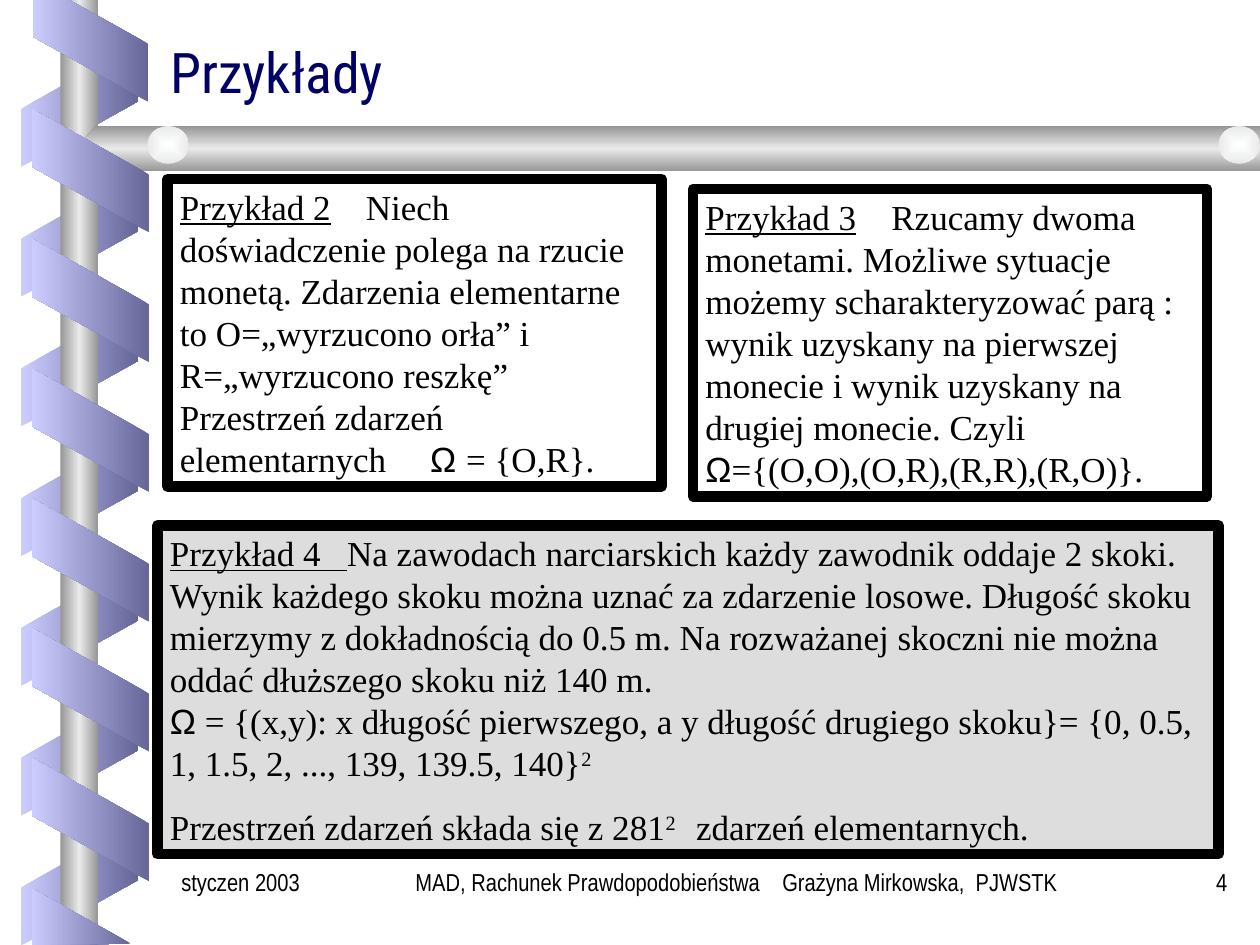
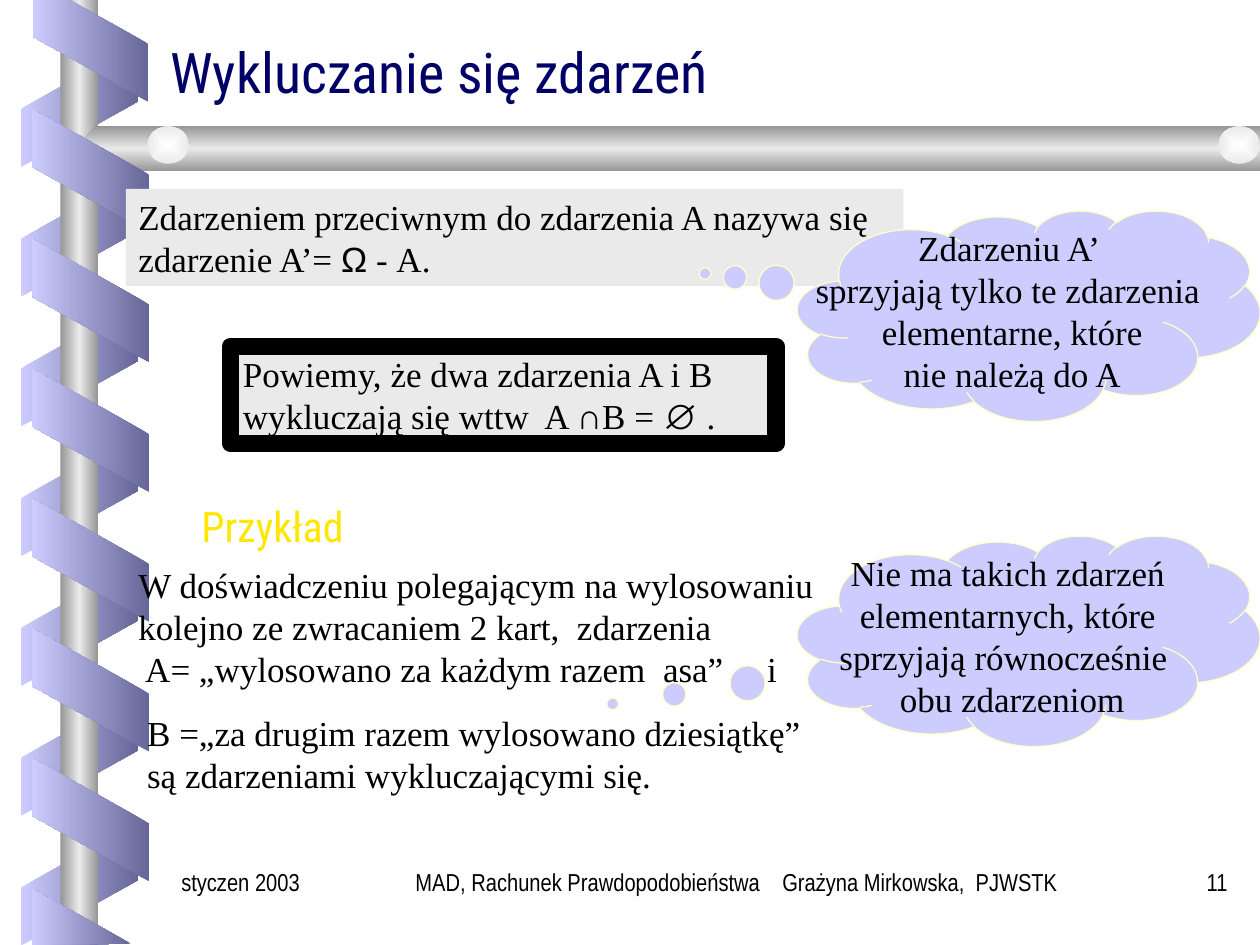
"""Build two probability slides with a ribbon-and-bar backdrop."""
from lxml import etree
from pptx import Presentation
from pptx import util as u
from pptx.dml import color
from pptx.enum import shapes, text
from pptx.oxml import ns

PX = 9144
WIDE, HIGH = 1000, 750
PITCH = 103
HUES = {
    "ink": "000000", "title": "000066", "lilac": "CCCCFF", "plum": "666699",
    "steel": "969696", "shine": "EAEAEA", "pearl": "FEFFFF", "grey": "DDDDDD",
    "cream": "FFFFCC", "gold": "FFE701", "flame": "FE3E02",
}
SERIF, SANS = "Times New Roman", "Arial"
HEAD, SMALL = "Roboto Condensed", "Arial Narrow"
LEFT, MID, RIGHT = text.PP_ALIGN.LEFT, text.PP_ALIGN.CENTER, text.PP_ALIGN.RIGHT
KIND = shapes.MSO_SHAPE


def rgb(hue):
    """Return the named colour."""
    return color.RGBColor.from_string(HUES[hue])


def emu(*sizes):
    """Turn px lengths into EMU."""
    return [size * PX for size in sizes]


def node(host, tag, **attrs):
    """Add a drawing element under host."""
    return etree.SubElement(host, ns.qn("a:" + tag), attrs)


def blend(fill, host, hues, angle=None):
    """Fill with evenly spaced colours, linear or from the centre if no angle."""
    fill.gradient()
    grad = host.find(ns.qn("a:gradFill"))
    for child in list(grad):
        grad.remove(child)
    grad.set("rotWithShape", "0")
    stops = node(grad, "gsLst")
    for i, hue in enumerate(hues):
        stop = node(stops, "gs", pos=str(100000 * i // (len(hues) - 1)))
        node(stop, "srgbClr", val=HUES[hue])
    if angle is None:
        way = node(grad, "path", path="rect")
        node(way, "fillToRect", l="50000", t="50000", r="50000", b="50000")
    else:
        node(grad, "lin", ang=str(angle * 60000), scaled="0")


def shade(shape, hues, angle=None):
    """Give a shape a gradient, no line and no shadow."""
    shape.shadow.inherit = False
    shape.line.fill.background()
    blend(shape.fill, shape.element.spPr, hues, angle)
    return shape


def form(slide, kind, area, hues, angle=None):
    """Add a shaded preset shape."""
    return shade(slide.shapes.add_shape(kind, *emu(*area)), hues, angle)


def trace(slide, points, hues, angle):
    """Add a shaded outline through the points."""
    pen = slide.shapes.build_freeform(*points[0], scale=PX)
    pen.add_line_segments(points[1:], close=True)
    return shade(pen.convert_to_shape(), hues, angle)


def band(slide, left, top, turn, hues):
    """Add one ribbon fold."""
    fold = form(slide, KIND.PARALLELOGRAM, (left, top, 98, 93), hues, 180)
    fold.adjustments[0] = 0.56
    fold.rotation = turn
    return fold


def scene(slide, layout):
    """Draw the ribbon, column and bar, and move them to the layout."""
    metal = ("steel", "shine", "steel")
    front, back = ("plum", "lilac"), ("lilac", "plum")
    for i in range(7):
        fold = band(slide, 14, 37 + PITCH * i, 90, back)
        fold.element.spPr.xfrm.set("flipH", "1")
    form(slide, KIND.RECTANGLE, (48, 0, 30, HIGH), metal, 180)
    trace(slide, [(WIDE, 100), (76, 100), (60, 118), (76, 136), (WIDE, 136)],
          metal, 90)
    for left in (117, 967):
        form(slide, KIND.OVAL, (left, 100, 33, 30), ("pearl", "shine"))
    for i in range(6):
        band(slide, 23, 89 + PITCH * i, 270, front)
    trace(slide, [(26, 0), (26, 29), (118, 81), (118, 35), (55, 0)], front, 180)
    trace(slide, [(104, 749), (25, 705), (25, HIGH)], front, 180)
    drawn = [s for s in slide.shapes if not s.is_placeholder]
    for i, shape in enumerate(drawn):
        shape.element.nvSpPr.cNvPr.set("id", str(100 + i))
        layout.shapes.element.insert(2 + i, shape.element)


def style(run, size, face, hue="ink"):
    """Set the size, font and colour of a run."""
    run.font.size = u.Pt(size)
    run.font.name = face
    run.font.color.rgb = rgb(hue)


def write(para, bits):
    """Fill a paragraph from (words, look) pairs."""
    for words, look in bits:
        for i, part in enumerate(words.split("\n")):
            if i:
                para.add_line_break()
            if not part:
                continue
            run = para.add_run()
            run.text = part
            style(run, 20, SANS if look == "sign" else SERIF)
            if look == "under":
                run.font.underline = True
            if look == "super":
                run.font.element.set("baseline", "30000") if hasattr(
                    run.font, "element") else run._r.rPr.set("baseline", "30000")


def body(shape, paras, align=LEFT):
    """Write paragraphs with space between them."""
    frame = shape.text_frame
    frame.word_wrap = True
    frame.vertical_anchor = text.MSO_ANCHOR.TOP
    frame.auto_size = text.MSO_AUTO_SIZE.SHAPE_TO_FIT_TEXT
    for i, bits in enumerate(paras):
        para = frame.add_paragraph() if i else frame.paragraphs[0]
        para.alignment = align
        if i:
            para.space_before = u.Pt(12.5)
        write(para, bits)


def paint(shape, fill, line, width):
    """Set plain fill and line, either of which may be None."""
    shape.shadow.inherit = False
    if fill:
        shape.fill.solid()
        shape.fill.fore_color.rgb = rgb(fill)
    else:
        shape.fill.background()
    if line:
        shape.line.color.rgb = rgb(line)
        shape.line.width = u.Pt(width)
    else:
        shape.line.fill.background()


def panel(slide, area, paras, fill=None, width=0):
    """Add a text panel, framed if a width is given."""
    shape = slide.shapes.add_shape(KIND.RECTANGLE, *emu(*area))
    paint(shape, fill, "ink" if width else None, width)
    body(shape, paras)


def cloud(slide, top, tail, words):
    """Add a thought cloud at the right edge."""
    shape = slide.shapes.add_shape(KIND.CLOUD_CALLOUT, *emu(633, top, 367, 167))
    shape.adjustments[0], shape.adjustments[1] = tail
    paint(shape, "lilac", "cream", 0.75)
    body(shape, [[(words, "")]], MID)
    frame = shape.text_frame
    frame.word_wrap = False
    frame.auto_size = text.MSO_AUTO_SIZE.NONE
    frame.vertical_anchor = text.MSO_ANCHOR.MIDDLE


def label(slide, area, words, size, face, align=LEFT):
    """Add one line of text and return its run."""
    frame = slide.shapes.add_textbox(*emu(*area)).text_frame
    frame.word_wrap = True
    frame.text = words
    para = frame.paragraphs[0]
    para.alignment = align
    style(para.runs[0], size, face)
    return para.runs[0]


def flare(run):
    """Give a heading run a fiery gradient and a thin outline."""
    props = run._r.get_or_add_rPr()
    blend(run.font.fill, props, ("gold", "flame"), 90)
    edge = node(props, "ln", w=str(u.Pt(0.75)))
    node(node(edge, "solidFill"), "srgbClr", val=HUES["ink"])
    props.insert(0, edge)


def head(slide, words):
    """Place and format the title."""
    title = slide.shapes.title
    title.left, title.top, title.width, title.height = emu(125, 25, 850, 63)
    frame = title.text_frame
    frame.text = words
    frame.auto_size = text.MSO_AUTO_SIZE.NONE
    frame.vertical_anchor = text.MSO_ANCHOR.BOTTOM
    para = frame.paragraphs[0]
    para.alignment = LEFT
    para.line_spacing = 0.8
    style(para.runs[0], 32, HEAD, "title")


def foot(slide, number):
    """Add the three footer texts."""
    course = "MAD, Rachunek Prawdopodobieństwa    Grażyna Mirkowska,  PJWSTK "
    for left, width, words, align in ((258, 658, course, MID),
                                      (900, 84, number, RIGHT),
                                      (134, 141, "styczen 2003", LEFT)):
        label(slide, (left, 683, width, 50), words, 14, SMALL, align)


def cases(slide):
    """Fill the slide of examples."""
    head(slide, "Przykłady")
    panel(slide, (133, 142, 392, 244), [[
        ("Przykład 2", "under"),
        ("    Niech doświadczenie polega na rzucie monetą. Zdarzenia "
         "elementarne to O=„wyrzucono orła” i R=„wyrzucono reszkę” "
         "Przestrzeń zdarzeń elementarnych     ", ""),
        ("Ω ", "sign"), ("= {O,R}.", "")]], width=6)
    panel(slide, (550, 150, 408, 244), [[
        ("Przykład 3", "under"),
        ("    Rzucamy dwoma monetami. Możliwe sytuacje możemy "
         "scharakteryzować parą : wynik uzyskany na pierwszej monecie i "
         "wynik uzyskany na drugiej monecie. Czyli \n", ""),
        ("Ω", "sign"), ("={(O,O),(O,R),(R,R),(R,O)}.", "")]], width=6)
    panel(slide, (125, 417, 842, 261), [[
        ("Przykład 4   ", "under"),
        ("Na zawodach narciarskich każdy zawodnik oddaje 2 skoki. Wynik "
         "każdego skoku można uznać za zdarzenie losowe. Długość skoku "
         "mierzymy z dokładnością do 0.5 m. Na rozważanej skoczni nie można "
         "oddać dłuższego skoku niż 140 m. \n", ""),
        ("Ω", "sign"),
        (" = {(x,y): x długość pierwszego, a y długość drugiego skoku}= "
         "{0, 0.5, 1, 1.5, 2, ..., 139, 139.5, 140}", ""),
        ("2", "super")], [
        ("Przestrzeń zdarzeń składa się z 281", ""), ("2    ", "super"),
        ("zdarzeń elementarnych.", "")]], "grey", 6)
    foot(slide, "4")


def clash(slide):
    """Fill the slide on exclusive events."""
    head(slide, "Wykluczanie się zdarzeń")
    panel(slide, (100, 150, 617, 77), [[
        ("Zdarzeniem przeciwnym do zdarzenia A nazywa się zdarzenie A’= ", ""),
        ("Ω", "sign"), (" - A.", "")]], "shine")
    cloud(slide, 167, (-0.7, -0.2),
          "Zdarzeniu A’ \nsprzyjają tylko te zdarzenia \n"
          "elementarne, które\nnie należą do A")
    panel(slide, (183, 275, 433, 77), [[
        ("Powiemy, że dwa zdarzenia A i B wykluczają się wttw  A ", ""),
        ("∩", "sign"), ("B = ", ""), ("∅", "sign"), (" .", "")]], "shine", 10)
    panel(slide, (100, 442, 592, 194), [
        [("W doświadczeniu polegającym na wylosowaniu kolejno ze zwracaniem "
          "2 kart,  zdarzenia\n A= „wylosowano za każdym razem  asa”     i", "")],
        [(" B =„za drugim razem wylosowano dziesiątkę”\n"
          " są zdarzeniami wykluczającymi się.", "")]])
    cloud(slide, 425, (-0.9, 0.3),
          "Nie ma takich zdarzeń \nelementarnych, które \n"
          "sprzyjają równocześnie  \nobu zdarzeniom")
    flare(label(slide, (150, 392, 172, 50), "Przykład", 24, HEAD))
    foot(slide, "11")


def main():
    """Build and save the slides."""
    deck = Presentation()
    deck.slide_width, deck.slide_height = emu(WIDE, HIGH)
    layout = deck.slide_layouts[5]
    first, second = (deck.slides.add_slide(layout) for _ in range(2))
    scene(first, layout)
    cases(first)
    clash(second)
    deck.save("out.pptx")


if __name__ == "__main__":
    main()
